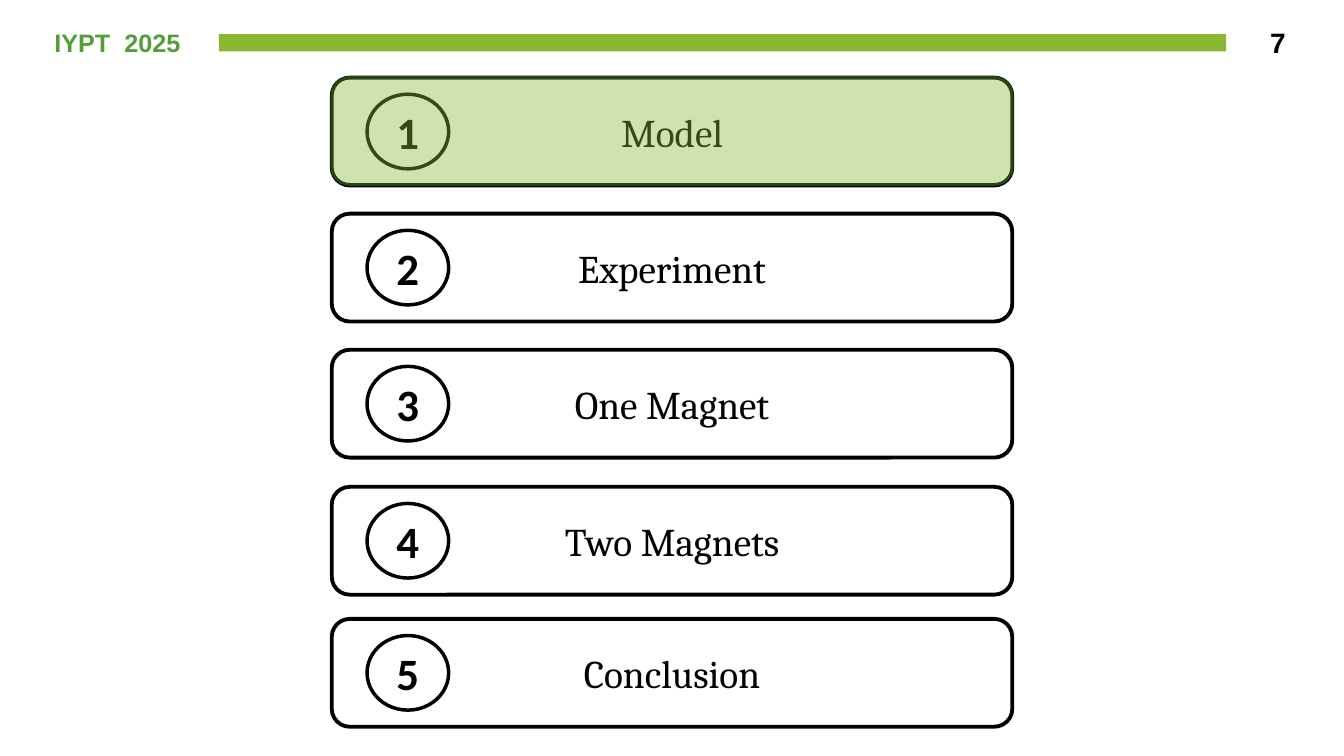
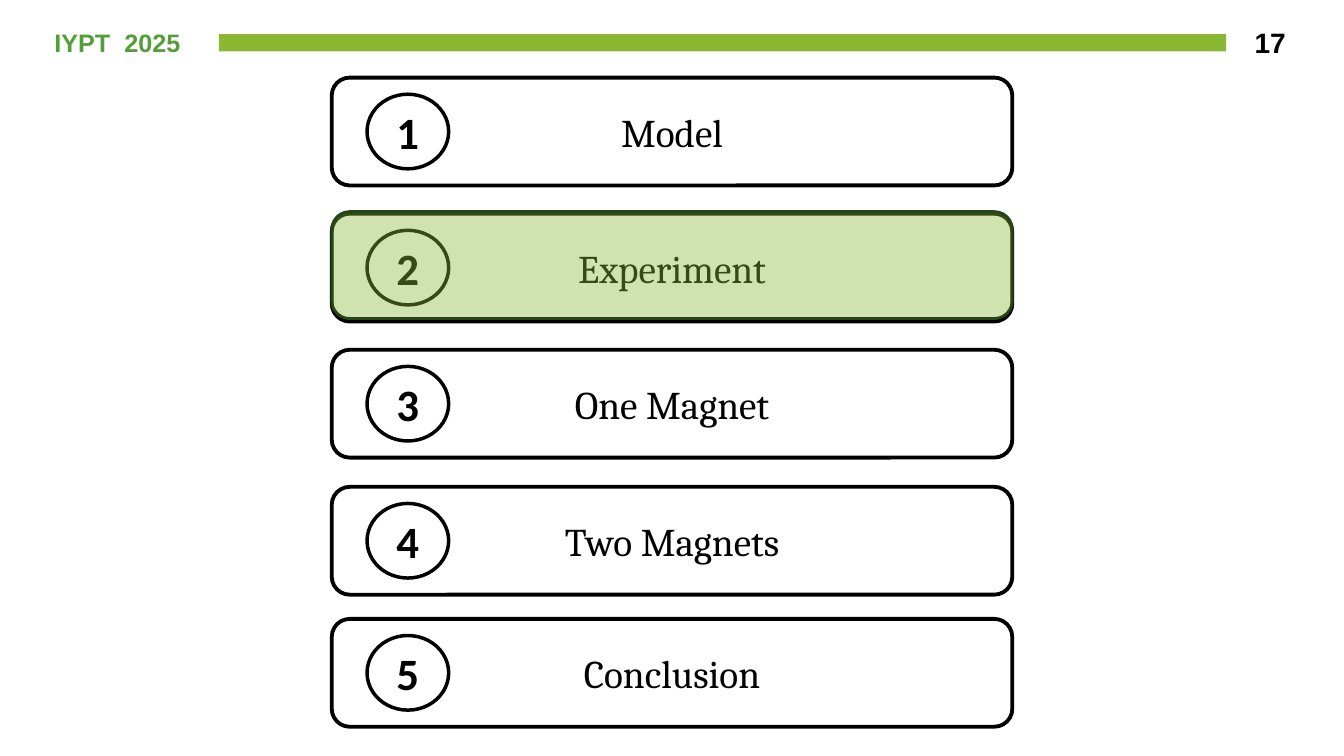
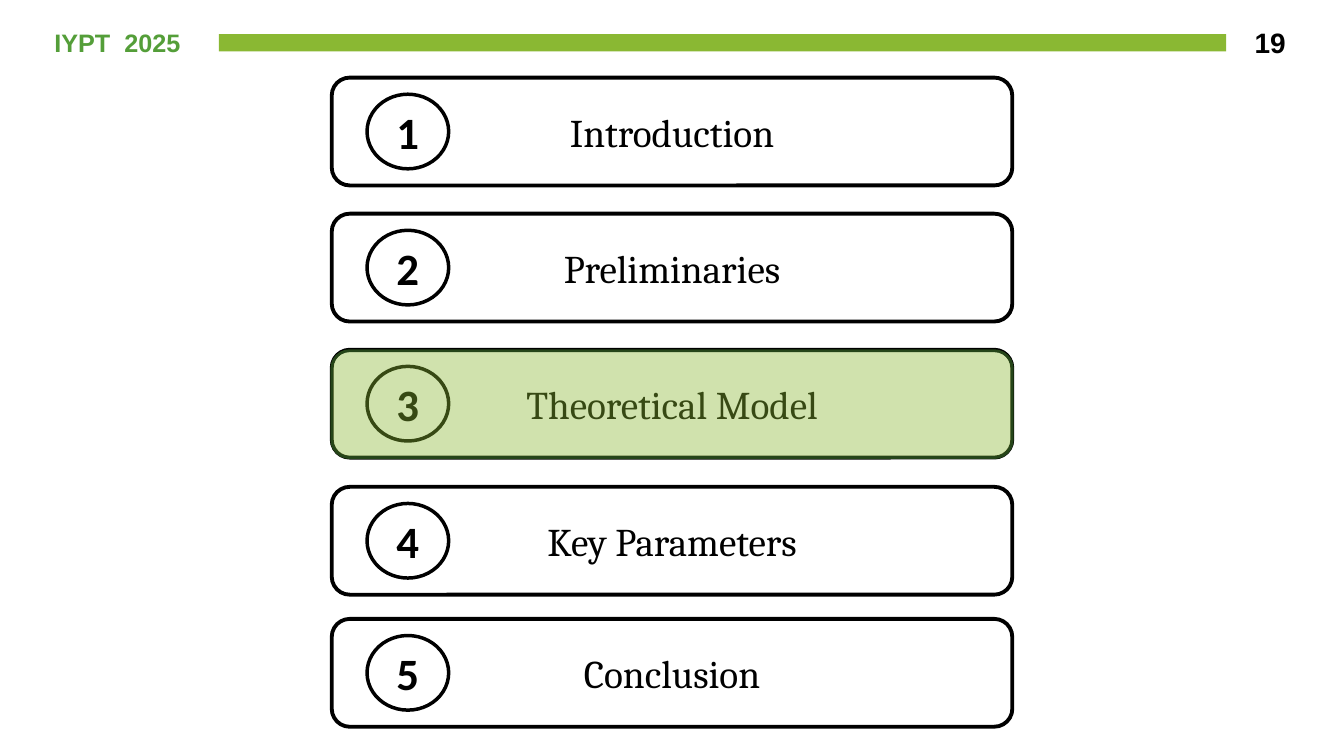
from pptx import Presentation
from pptx.dml.color import RGBColor
from pptx.enum.shapes import MSO_SHAPE
from pptx.enum.text import MSO_ANCHOR, PP_ALIGN
from pptx.oxml import parse_xml
from pptx.oxml.ns import nsdecls
from pptx.util import Inches, Pt

# Content: page number, agenda entries, active entry's marker top
MAGNET_AGENDA = ["Model", "Experiment", "One Magnet", "Two Magnets", "Conclusion"]
THEORY_AGENDA = ["Introduction", "Preliminaries", "Theoretical Model",
                 "Key Parameters", "Conclusion"]
SLIDES = [
    ("7", MAGNET_AGENDA, 0.77),
    ("17", MAGNET_AGENDA, 2.1),
    ("19", THEORY_AGENDA, 3.48),
]

# Shared style
BLACK, BAND_GREEN, TITLE_GREEN, DARK_GREEN = "000000", "8AB833", "549E39", "254519"
ROW_LEFT, ROW_WIDTH, ROW_HEIGHT = 3.29, 6.75, 1.07
ROW_TOPS = [0.77, 2.12, 3.47, 4.83, 6.14]
BADGE_LEFT, BADGE_WIDTH, BADGE_HEIGHT = 3.64, 0.81, 0.74
MARKER_HEIGHT = 1.06


def color(value):
    return RGBColor.from_string(value)


def add_run(paragraph, text, font_name, size, font_color=BLACK, bold=False):
    run = paragraph.add_run()
    run.text = text
    run.font.name = font_name
    run.font.size = Pt(size)
    run.font.bold = bold
    run.font.color.rgb = color(font_color)
    return run


def add_box(shapes, preset, bounds, fill=None, line=None, line_width=0):
    shape = shapes.add_shape(preset, *map(Inches, bounds))
    shape.shadow.inherit = False
    if fill:
        shape.fill.solid()
        shape.fill.fore_color.rgb = color(fill)
    else:
        shape.fill.background()
    if line:
        shape.line.color.rgb = color(line)
        shape.line.width = Pt(line_width)
    else:
        shape.line.fill.background()
    return shape


def add_label(shape, text, font_name, size, bold=False):
    shape.text_frame.vertical_anchor = MSO_ANCHOR.MIDDLE
    paragraph = shape.text_frame.paragraphs[0]
    paragraph.alignment = PP_ALIGN.CENTER
    add_run(paragraph, text, font_name, size, bold=bold)


def add_layout_header(slide):
    """Build the green band and event name, then move them to the layout."""
    band = add_box(slide.shapes, MSO_SHAPE.RECTANGLE, (2.17, 0.34, 9.99, 0.17), BAND_GREEN)
    event = slide.shapes.add_textbox(*map(Inches, (0.44, 0.22, 1.92, 0.4)))
    event.text_frame.word_wrap = True
    paragraph = event.text_frame.paragraphs[0]
    for text in ("IYPT", " ", "2025"):
        run = add_run(paragraph, text, "Arial", 18, TITLE_GREEN, bold=True)
        if text == " ":
            run.font._element.set("spc", "500")  # widen the word gap by 5 pt
    for shape in (band, event):
        slide.slide_layout.shapes.element.append(shape.element)


def add_page_number(slide, number):
    box = slide.shapes.add_textbox(*map(Inches, (12.16, 0.18, 0.69, 0.48)))
    box.text_frame.word_wrap = True
    box.text_frame.vertical_anchor = MSO_ANCHOR.MIDDLE
    paragraph = box.text_frame.paragraphs[0]
    paragraph.alignment = PP_ALIGN.RIGHT
    add_run(paragraph, number, "Arial", 20, bold=True)


def add_agenda_row(slide, number, text, top):
    group = slide.shapes.add_group_shape()
    row = add_box(group.shapes, MSO_SHAPE.ROUNDED_RECTANGLE,
                  (ROW_LEFT, top, ROW_WIDTH, ROW_HEIGHT), line=BLACK, line_width=2.75)
    add_label(row, text, "Cambria", 28)
    badge_top = top + (ROW_HEIGHT - BADGE_HEIGHT) / 2
    badge = add_box(group.shapes, MSO_SHAPE.OVAL,
                    (BADGE_LEFT, badge_top, BADGE_WIDTH, BADGE_HEIGHT),
                    line=BLACK, line_width=2.5)
    add_label(badge, str(number), "Calibri", 32, bold=True)


def add_marker(slide, top):
    marker = add_box(slide.shapes, MSO_SHAPE.ROUNDED_RECTANGLE,
                     (ROW_LEFT, top, ROW_WIDTH, MARKER_HEIGHT), BAND_GREEN, DARK_GREEN, 2)
    # 40 % opacity lets the row show through
    fill_color = marker.element.spPr.find("{*}solidFill")[0]
    fill_color.append(parse_xml(f'<a:alpha {nsdecls("a")} val="40000"/>'))


def main():
    presentation = Presentation()
    presentation.slide_width = Inches(13.33)
    presentation.slide_height = Inches(7.5)
    layout = presentation.slide_layouts[6]
    for index, (page, agenda, marker_top) in enumerate(SLIDES):
        slide = presentation.slides.add_slide(layout)
        if index == 0:
            add_layout_header(slide)
        add_page_number(slide, page)
        for number, (text, top) in enumerate(zip(agenda, ROW_TOPS), start=1):
            add_agenda_row(slide, number, text, top)
        add_marker(slide, marker_top)
    presentation.save("out.pptx")


if __name__ == "__main__":
    main()
